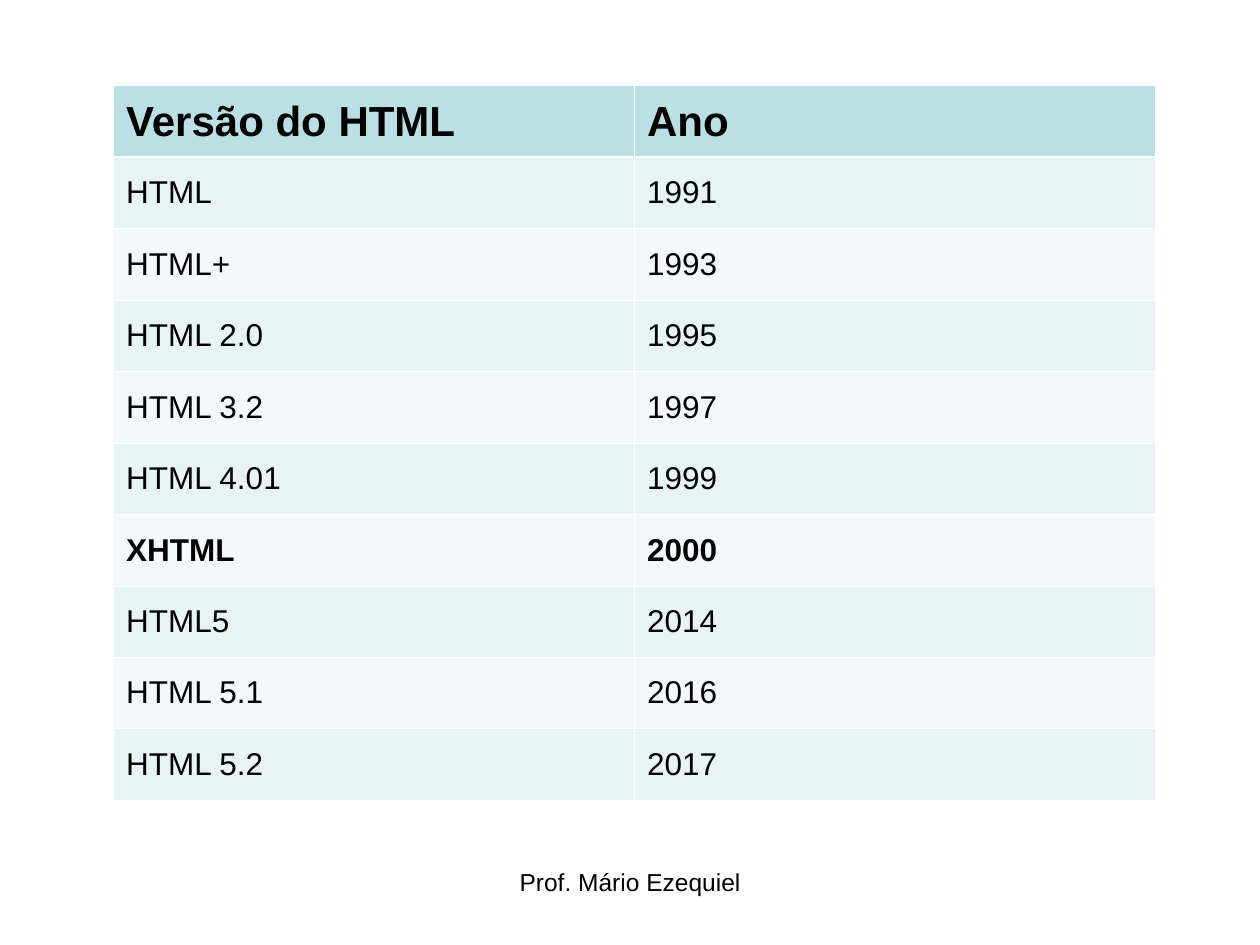
from lxml import etree
from pptx import Presentation
from pptx.dml.color import RGBColor
from pptx.enum.text import MSO_ANCHOR, PP_ALIGN
from pptx.oxml.ns import qn
from pptx.util import Cm, Pt

MIDDLE = MSO_ANCHOR.MIDDLE
CENTER = PP_ALIGN.CENTER
HEAD, DARK, LIGHT = "BBE0E3", "E7F3F4", "F3F9FA"
WHITE, BLACK = "FFFFFF", "000000"


def style(frame, size, bold=False):
    font = frame.paragraphs[0].runs[0].font
    font.name = "Arial"
    font.size = Pt(size)
    font.bold = bold
    font.color.rgb = RGBColor.from_string(BLACK)


def edge(cell, side, width):
    line = etree.SubElement(cell._tc.get_or_add_tcPr(), qn(f"a:ln{side}"), w=str(Pt(width)))
    fill = etree.SubElement(line, qn("a:solidFill"))
    etree.SubElement(fill, qn("a:srgbClr"), val=WHITE)


rows = [
    ("Versão do HTML", "Ano"),
    ("HTML", "1991"),
    ("HTML+", "1993"),
    ("HTML 2.0", "1995"),
    ("HTML 3.2", "1997"),
    ("HTML 4.01", "1999"),
    ("XHTML", "2000"),
    ("HTML5", "2014"),
    ("HTML 5.1", "2016"),
    ("HTML 5.2", "2017"),
]

deck = Presentation()
deck.slide_width = Cm(25.4)
deck.slide_height = Cm(19.05)
slide = deck.slides.add_slide(deck.slide_layouts[6])

foot = slide.shapes.add_textbox(Cm(8.68), Cm(17.35), Cm(8.05), Cm(1.32)).text_frame
foot.word_wrap = True
foot.text = "Prof. Mário Ezequiel"
foot.paragraphs[0].alignment = CENTER
style(foot, 14)

table = slide.shapes.add_table(len(rows), 2, Cm(2.29), Cm(1.73), Cm(21), Cm(14.4)).table
for r, row in enumerate(rows):
    table.rows[r].height = Cm(1.44)
    shade = HEAD if r == 0 else DARK if r % 2 else LIGHT
    for c, text in enumerate(row):
        cell = table.cell(r, c)
        cell.text = text
        cell.vertical_anchor = MIDDLE
        style(cell.text_frame, 24 if r == 0 else 18, r == 0 or row[0] == "XHTML")
        edge(cell, "L", 0.45)
        edge(cell, "R", 0.45)
        edge(cell, "T", 1.47 if r == 1 else 0.45)
        edge(cell, "B", 1.47 if r == 0 else 0.45)
        cell.fill.solid()
        cell.fill.fore_color.rgb = RGBColor.from_string(shade)

deck.save("out.pptx")
